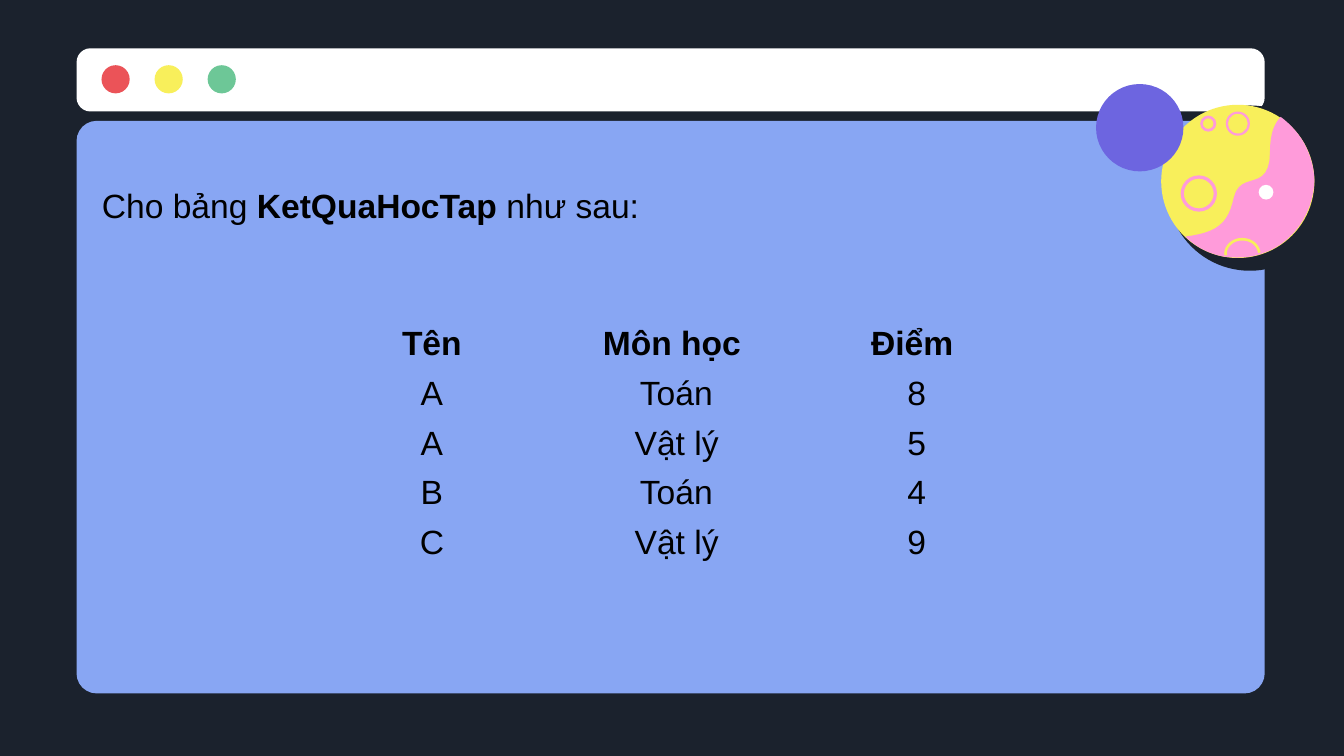
from typing import NamedTuple

from pptx import Presentation
from pptx.dml.color import RGBColor
from pptx.enum.shapes import MSO_SHAPE as Shape
from pptx.enum.text import PP_ALIGN
from pptx.oxml.ns import qn
from pptx.util import Inches, Pt

DARK, WHITE, BLACK = "1B222D", "FFFFFF", "000000"
RED, YELLOW, GREEN = "EB5358", "F8EF5B", "6DC797"
BLUE, PINK, PURPLE = "88A6F3", "FF9BDA", "6D65E0"
NO_STYLE_NO_GRID = "{2D5ABB26-0587-4C30-8999-92F81FD0307C}"


class Panel(NamedTuple):
    y: float
    h: float
    radius: float
    color: str


class Disc(NamedTuple):
    cx: float
    cy: float
    d: float
    color: str
    band: float = 0  # ring thickness as a share of d; 0 is a full disc


class Curve(NamedTuple):
    """A start point and cubic segments (two controls and an end each)."""
    start: tuple
    segments: list


PANELS = [Panel(0.36, 0.47, 0.22, WHITE), Panel(0.9, 4.26, 0.035, BLUE)]
BUTTONS = [Disc(0.86 + 0.395 * i, 0.59, 0.21, c)
           for i, c in enumerate((RED, YELLOW, GREEN))]
PLANET = [Disc(9.3, 1.4, 1.23, DARK), Disc(9.21, 1.35, 1.14, YELLOW)]
CRATERS = [
    Disc(8.92, 1.44, 0.27, PINK, 0.09),
    Disc(8.99, 0.92, 0.12, PINK, 0.17),
    Disc(9.21, 0.92, 0.18, PINK, 0.09),
]
MOONS = [Disc(9.42, 1.43, 0.11, WHITE), Disc(8.48, 0.95, 0.65, PURPLE)]
LAND = Curve((9.53, 0.87), [
    ((9.61, 0.93), (9.69, 1.02), (9.73, 1.12)),
    ((9.76, 1.19), (9.78, 1.27), (9.78, 1.35)),
    ((9.77, 1.6), (9.61, 1.82), (9.38, 1.89)),
    ((9.29, 1.92), (9.2, 1.92), (9.11, 1.91)),
    ((9, 1.89), (8.9, 1.84), (8.82, 1.76)),
    ((9.06, 1.73), (9.14, 1.66), (9.18, 1.47)),
    ((9.23, 1.26), (9.45, 1.44), (9.45, 1.13)),
    ((9.45, 0.98), (9.49, 0.91), (9.53, 0.87)),
])
RIM = Curve((9.12, 1.9), [
    ((9.11, 1.84), (9.17, 1.78), (9.24, 1.78)),
    ((9.31, 1.78), (9.36, 1.82), (9.37, 1.88)),
])
ROWS = [
    ("Tên", "Môn học", "Điểm"),
    ("A", " Toán", " 8"),
    ("A", " Vật lý", " 5"),
    ("B", " Toán", " 4"),
    ("C", " Vật lý", " 9"),
]


def rgb(color: str) -> RGBColor:
    return RGBColor.from_string(color)


def paint(sp, color: str) -> None:
    sp.shadow.inherit = False
    sp.fill.solid()
    sp.fill.fore_color.rgb = rgb(color)
    sp.line.fill.background()


def style(r, bold: bool = False) -> None:
    r.font.name = "Arial"
    r.font.size = Pt(18)
    r.font.bold = bold
    r.font.color.rgb = rgb(BLACK)


def add_panel(s, panel: Panel) -> None:
    sp = s.shapes.add_shape(Shape.ROUNDED_RECTANGLE, Inches(0.57), Inches(panel.y),
                            Inches(8.84), Inches(panel.h))
    sp.adjustments[0] = panel.radius
    paint(sp, panel.color)


def add_disc(s, disc: Disc) -> None:
    sp = s.shapes.add_shape(Shape.DONUT if disc.band else Shape.OVAL,
                            Inches(disc.cx - disc.d / 2), Inches(disc.cy - disc.d / 2),
                            Inches(disc.d), Inches(disc.d))
    if disc.band:
        sp.adjustments[0] = disc.band
    paint(sp, disc.color)


def curve_points(curve: Curve, steps: int = 12) -> list:
    points = [curve.start]
    for a, b, end in curve.segments:
        start = points[-1]
        for i in range(1, steps + 1):
            t = i / steps
            u = 1 - t
            points.append(tuple(
                u**3 * p0 + 3 * u * u * t * p1 + 3 * u * t * t * p2 + t**3 * p3
                for p0, p1, p2, p3 in zip(start, a, b, end)))
    return points


def add_curve(s, curve: Curve, close: bool):
    first, *rest = [(Inches(x), Inches(y)) for x, y in curve_points(curve)]
    builder = s.shapes.build_freeform(*first)
    builder.add_line_segments(rest, close=close)
    return builder.convert_to_shape()


def add_planet(s) -> None:
    for disc in PLANET + CRATERS:
        add_disc(s, disc)
    paint(add_curve(s, LAND, close=True), PINK)
    rim = add_curve(s, RIM, close=False)
    rim.shadow.inherit = False
    rim.fill.background()
    rim.line.color.rgb = rgb(YELLOW)
    rim.line.width = Pt(1.4)
    for disc in MOONS:
        add_disc(s, disc)


def add_scores(s) -> None:
    table = s.shapes.add_table(len(ROWS), len(ROWS[0]), Inches(2.32), Inches(2.38),
                               Inches(5.36), Inches(1.85)).table
    table._tbl.tblPr.find(qn("a:tableStyleId")).text = NO_STYLE_NO_GRID
    table.first_row = table.horz_banding = False
    for i, row in enumerate(ROWS):
        for j, text in enumerate(row):
            cell = table.cell(i, j)
            cell.fill.background()
            cell.margin_left = cell.margin_right = 0
            cell.margin_top = cell.margin_bottom = 0
            p = cell.text_frame.paragraphs[0]
            p.text = text
            p.alignment = PP_ALIGN.CENTER
            p.line_spacing = 1.15
            style(p.runs[0], bold=i == 0)


def add_intro(s) -> None:
    tf = s.shapes.add_textbox(Inches(0.66), Inches(1.33), Inches(5), Inches(0.4)).text_frame
    tf.word_wrap = True
    p = tf.paragraphs[0]
    for text, bold in (("Cho bảng ", False), ("KetQuaHocTap", True), (" như sau:", False)):
        r = p.add_run()
        r.text = text
        style(r, bold)


def main() -> None:
    prs = Presentation()
    prs.slide_width = Inches(10)
    prs.slide_height = prs.slide_width * 9 // 16
    s = prs.slides.add_slide(prs.slide_layouts[6])
    s.background.fill.solid()
    s.background.fill.fore_color.rgb = rgb(DARK)
    for panel in PANELS:
        add_panel(s, panel)
    for button in BUTTONS:
        add_disc(s, button)
    add_planet(s)
    add_scores(s)
    add_intro(s)
    prs.save("out.pptx")


if __name__ == "__main__":
    main()
